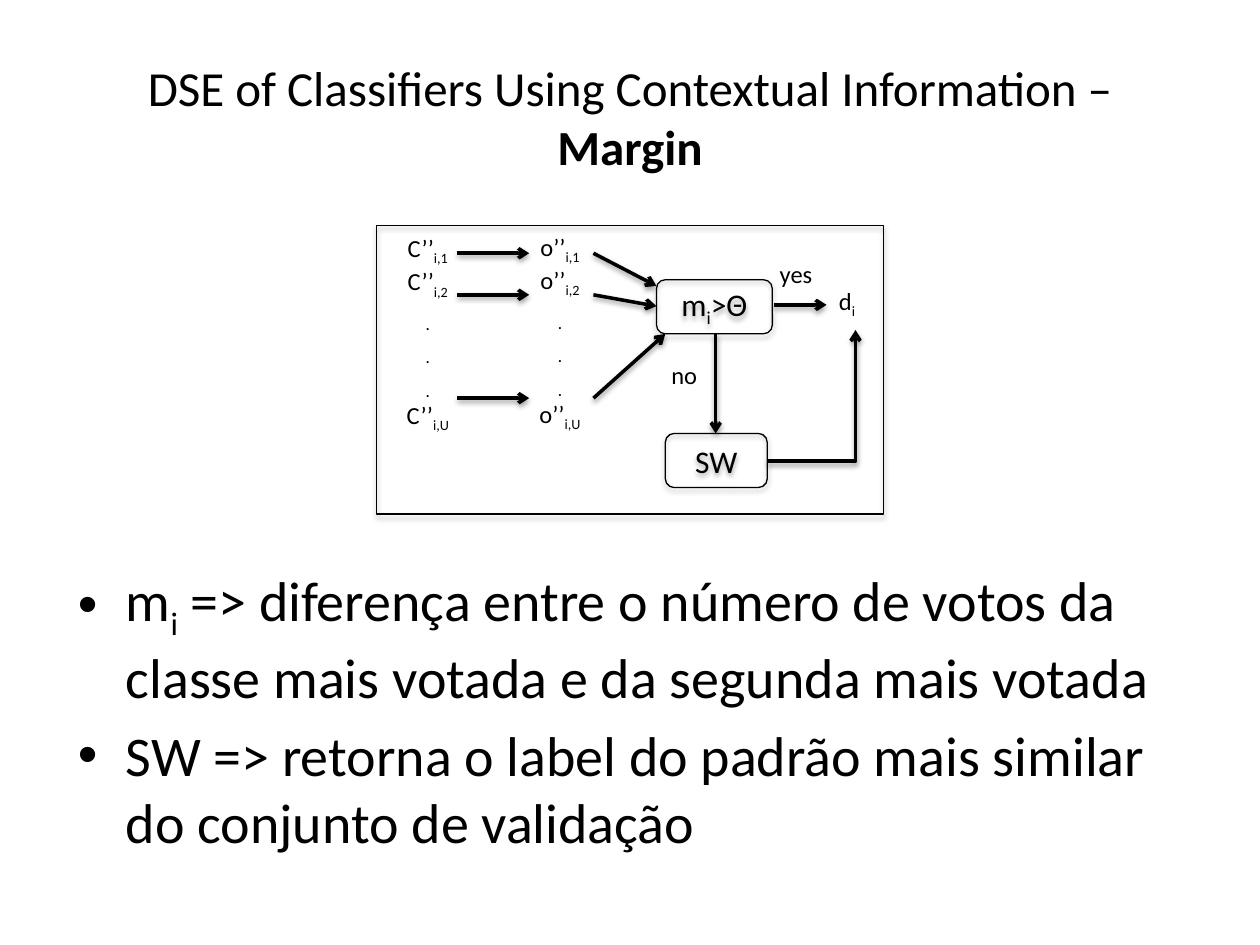
from lxml import etree
from pptx import Presentation
from pptx import util as u
from pptx.dml.color import RGBColor
from pptx.enum import shapes, text
from pptx.oxml.ns import qn

BLACK = RGBColor(0x00, 0x00, 0x00)
FONT = "Calibri"
LEFT, CENTER = text.PP_ALIGN.LEFT, text.PP_ALIGN.CENTER
TOP, MIDDLE = text.MSO_ANCHOR.TOP, text.MSO_ANCHOR.MIDDLE


def box(*at):
    return [u.Inches(v) for v in at]


class Deck:
    def __init__(self, width, height):
        self.prs = Presentation()
        self.prs.slide_width, self.prs.slide_height = box(width, height)
        self.s = self.prs.slides.add_slide(self.prs.slide_layouts[6])

    def shadow(self, sp, alpha, dist):
        effects = etree.SubElement(sp._element.spPr, qn("a:effectLst"))
        outer = etree.SubElement(effects, qn("a:outerShdw"), blurRad=str(u.Pt(3.1)),
                                 dist=str(u.Pt(dist)), dir="5400000", rotWithShape="0")
        color = etree.SubElement(outer, qn("a:srgbClr"), val=str(BLACK))
        etree.SubElement(color, qn("a:alpha"), val=str(alpha * 1000))

    def add_text(self, sp, paragraphs, size, align, anchor, bullet=False):
        tf = sp.text_frame
        tf.word_wrap = True
        tf.vertical_anchor = anchor
        for i, runs in enumerate(paragraphs):
            p = tf.paragraphs[0] if i == 0 else tf.add_paragraph()
            p.alignment = align
            if bullet:
                self.bullet(p)
            for content, *style in runs:
                r = p.add_run()
                r.text = content
                r.font.name, r.font.size = FONT, u.Pt(size)
                r.font.color.rgb = BLACK
                r.font.bold = "bold" in style
                if "sub" in style:
                    r._r.get_or_add_rPr().set("baseline", "-25000")

    def bullet(self, p):
        p.space_before = u.Pt(6.4)
        pPr = p._p.get_or_add_pPr()
        pPr.set("marL", str(u.Inches(0.38)))
        pPr.set("indent", str(u.Inches(-0.38)))
        etree.SubElement(pPr, qn("a:buFont"), typeface="Arial")
        etree.SubElement(pPr, qn("a:buChar"), char="•")

    def label(self, at, paragraphs, size=14, align=LEFT, anchor=TOP, bullet=False):
        sp = self.s.shapes.add_textbox(*box(*at))
        self.add_text(sp, paragraphs, size, align, anchor, bullet)

    def node(self, kind, at, paragraphs=()):
        sp = self.s.shapes.add_shape(kind, *box(*at))
        sp.fill.background()
        sp.line.color.rgb = BLACK
        sp.line.width = u.Pt(0.75)
        self.shadow(sp, 35, 1.8)
        self.add_text(sp, paragraphs, 18, CENTER, MIDDLE)

    def arrow(self, start, end, bent=False):
        kind = shapes.MSO_CONNECTOR.ELBOW if bent else shapes.MSO_CONNECTOR.STRAIGHT
        c = self.s.shapes.add_connector(kind, *box(*start, *end))
        spPr = c._element.spPr
        if bent:
            spPr.find(qn("a:prstGeom")).set("prst", "bentConnector2")
        c.line.color.rgb = BLACK
        c.line.width = u.Pt(2)
        etree.SubElement(spPr.find(qn("a:ln")), qn("a:tailEnd"), type="arrow")
        self.shadow(c, 38, 1.6)


def column(name):
    def item(index):
        return [(name + "’’",), ("i," + index, "sub")]
    return [item("1"), item("2")] + [[(".", "bold", "sub")]] * 3 + [item("U")]


deck = Deck(10, 7.5)
deck.label((0.5, 0.3, 9, 1.25),
           [[("DSE of Classifiers Using Contextual Information – ",), ("Margin", "bold")]],
           28, CENTER, MIDDLE)
deck.label((0.52, 4.44, 9, 2.45), [
    [("m",), ("i", "sub"),
     (" => diferença entre o número de votos da classe mais votada e da segunda mais votada",)],
    [("SW => retorna o label do padrão mais similar do conjunto de validação",)],
], 32, bullet=True)

deck.label((2.99, 1.8, 0.81, 1.54), column("C"), align=CENTER)
deck.label((4.04, 1.79, 0.81, 1.54), column("o"), align=CENTER)
deck.label((6.56, 2.22, 0.45, 0.4), [[("d",), ("i", "sub")]])
deck.label((6.09, 2.01, 0.64, 0.4), [[("yes",)]])
deck.label((5.23, 2.81, 0.52, 0.4), [[("no",)]])

ROUNDED = shapes.MSO_SHAPE.ROUNDED_RECTANGLE
deck.node(ROUNDED, (5.21, 2.22, 0.92, 0.43), [[("m",), ("i", "sub"), (">Θ",)]])
deck.node(ROUNDED, (5.28, 3.44, 0.81, 0.43), [[("SW",)]])

for y, target in ((2.01, (5.21, 2.27)), (2.34, (5.21, 2.43)), (3.16, (5.28, 2.65))):
    deck.arrow((3.63, y), (4.2, y))
    deck.arrow((4.71, y), target)
deck.arrow((6.14, 2.42), (6.56, 2.42))
deck.arrow((5.68, 2.65), (5.68, 3.44))
deck.arrow((6.09, 3.66), (6.79, 2.62), bent=True)

deck.node(shapes.MSO_SHAPE.RECTANGLE, (2.99, 1.79, 4.02, 2.29))
deck.prs.save("out.pptx")
